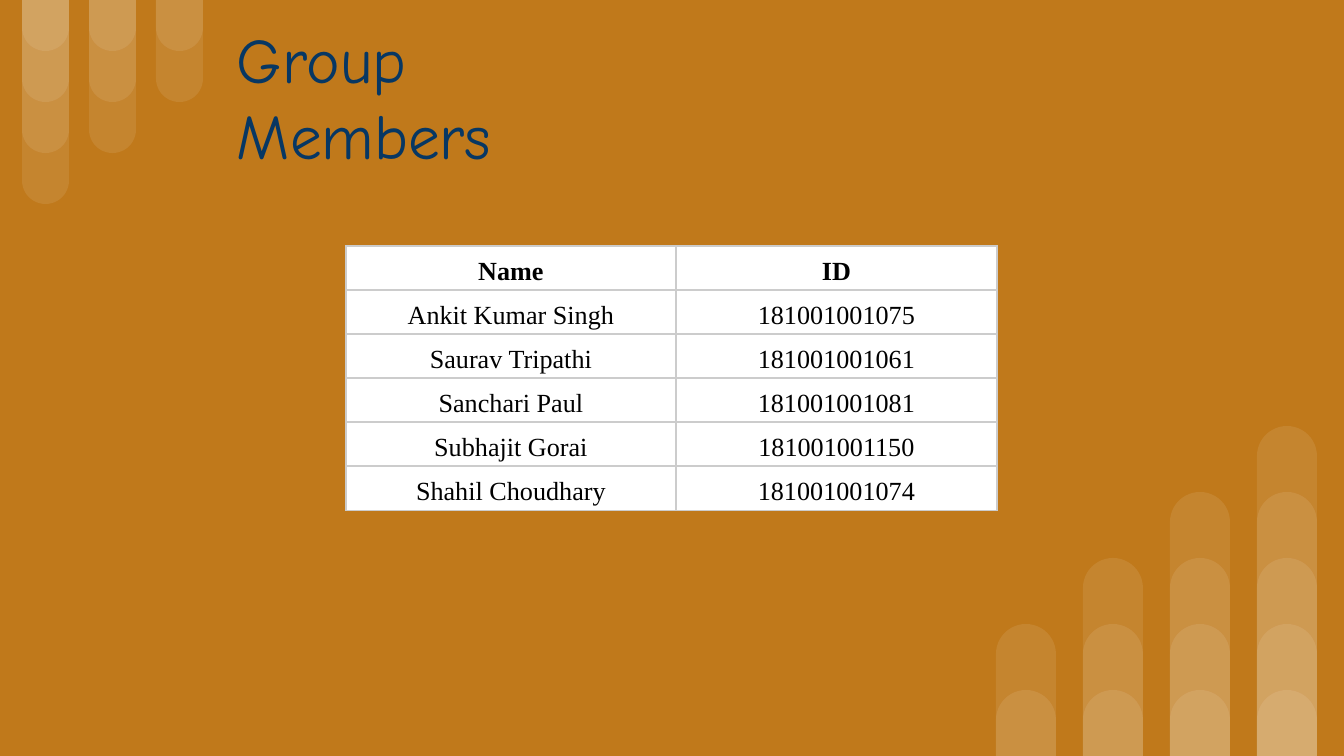
from dataclasses import dataclass

from lxml.etree import SubElement as Sub
from pptx import Presentation
from pptx.dml.color import RGBColor as RGB
from pptx.enum.shapes import MSO_SHAPE as Shape
from pptx.enum.text import MSO_ANCHOR as Anchor, MSO_AUTO_SIZE as Auto, PP_ALIGN as Align
from pptx.oxml.ns import qn
from pptx.util import Pt

SCALE = 9144000 / 1344
WIDE, HIGH = 1344, 756
HUES = {"back": "C0791B", "bar": "FFFFFF", "title": "073763",
        "cell": "FFFFFF", "ink": "000000", "edge": "CCCCCC"}
SIDES = ("left", "right", "top", "bottom")


@dataclass
class Bars:
    left: int
    pitch: int
    width: int
    step: int
    counts: tuple[int, ...]
    hang: bool


GROUPS = [
    Bars(22, 67, 47, 51, (4, 3, 2), True),
    Bars(996, 87, 60, 66, (2, 3, 4, 5), False),
]
ROWS = [
    ("Name", "ID"),
    ("Ankit Kumar Singh", "181001001075"),
    ("Saurav Tripathi", "181001001061"),
    ("Sanchari Paul", "181001001081"),
    ("Subhajit Gorai", "181001001150"),
    ("Shahil Choudhary", "181001001074"),
]


def px(num: int) -> int:
    return round(num * SCALE)


def style(item, **vals) -> None:
    for key, val in vals.items():
        setattr(item, key, val)


def paint(fill, hue: str) -> None:
    fill.solid()
    fill.fore_color.rgb = RGB.from_string(HUES[hue])


def write(frame, text: str, hue: str, align, **font) -> None:
    frame.text = text
    para = frame.paragraphs[0]
    para.alignment = align
    run = para.runs[0]
    style(run.font, **font)
    run.font.color.rgb = RGB.from_string(HUES[hue])


def draw_bars(slide, bars: Bars) -> None:
    for col, count in enumerate(bars.counts):
        for level in range(1, count + 1):
            tall = level * bars.step
            top = 0 if bars.hang else HIGH - tall
            box = map(px, (bars.left + col * bars.pitch, top, bars.width, tall))
            bar = slide.shapes.add_shape(Shape.ROUND_2_SAME_RECTANGLE, *box)
            bar.adjustments[0] = 0.5
            bar.rotation = 180 if bars.hang else 0
            bar.shadow.inherit = False
            bar.line.fill.background()
            paint(bar.fill, "bar")
            tint = bar.element.spPr.find(".//" + qn("a:srgbClr"))
            Sub(tint, qn("a:alpha"), val="9000")


def draw_edges(cell) -> None:
    props = cell._tc.get_or_add_tcPr()
    for spot, side in enumerate("LRTB"):
        line = Sub(props, qn(f"a:ln{side}"), w=str(Pt(0.75)))
        Sub(Sub(line, qn("a:solidFill")), qn("a:srgbClr"), val=HUES["edge"])
        props.insert(spot, line)


def draw_table(slide) -> None:
    widths = (330, 321)
    box = map(px, (346, 246, sum(widths), 43 * len(ROWS)))
    table = slide.shapes.add_table(len(ROWS), len(widths), *box).table
    style(table, first_row=False, horz_banding=False)
    for col, width in zip(table.columns, widths):
        col.width = px(width)
    for i, row in enumerate(ROWS):
        for j, text in enumerate(row):
            cell = table.cell(i, j)
            style(cell, vertical_anchor=Anchor.BOTTOM,
                  **{f"margin_{side}": px(4) for side in SIDES})
            write(cell.text_frame, text, "ink", Align.CENTER,
                  name="Times New Roman", size=Pt(14), bold=i == 0)
            cell.text_frame.paragraphs[0].line_spacing = 1.15
            paint(cell.fill, "cell")
            draw_edges(cell)


def draw_title(slide) -> None:
    title = slide.shapes.title
    style(title, left=px(224), top=px(7), width=px(441), height=px(104))
    frame = title.text_frame
    style(frame, word_wrap=True, auto_size=Auto.SHAPE_TO_FIT_TEXT,
          vertical_anchor=Anchor.TOP,
          **{f"margin_{side}": px(13) for side in SIDES})
    write(frame, "Group Members", "title", Align.LEFT,
          name="Comic Neue", size=Pt(34))


def main() -> None:
    deck = Presentation()
    style(deck, slide_width=px(WIDE), slide_height=px(HIGH))
    slide = deck.slides.add_slide(deck.slide_layouts[5])
    paint(slide.background.fill, "back")
    # Corner bars
    for bars in GROUPS:
        draw_bars(slide, bars)
    # Heading and member list
    draw_title(slide)
    draw_table(slide)
    deck.save("out.pptx")


if __name__ == "__main__":
    main()
